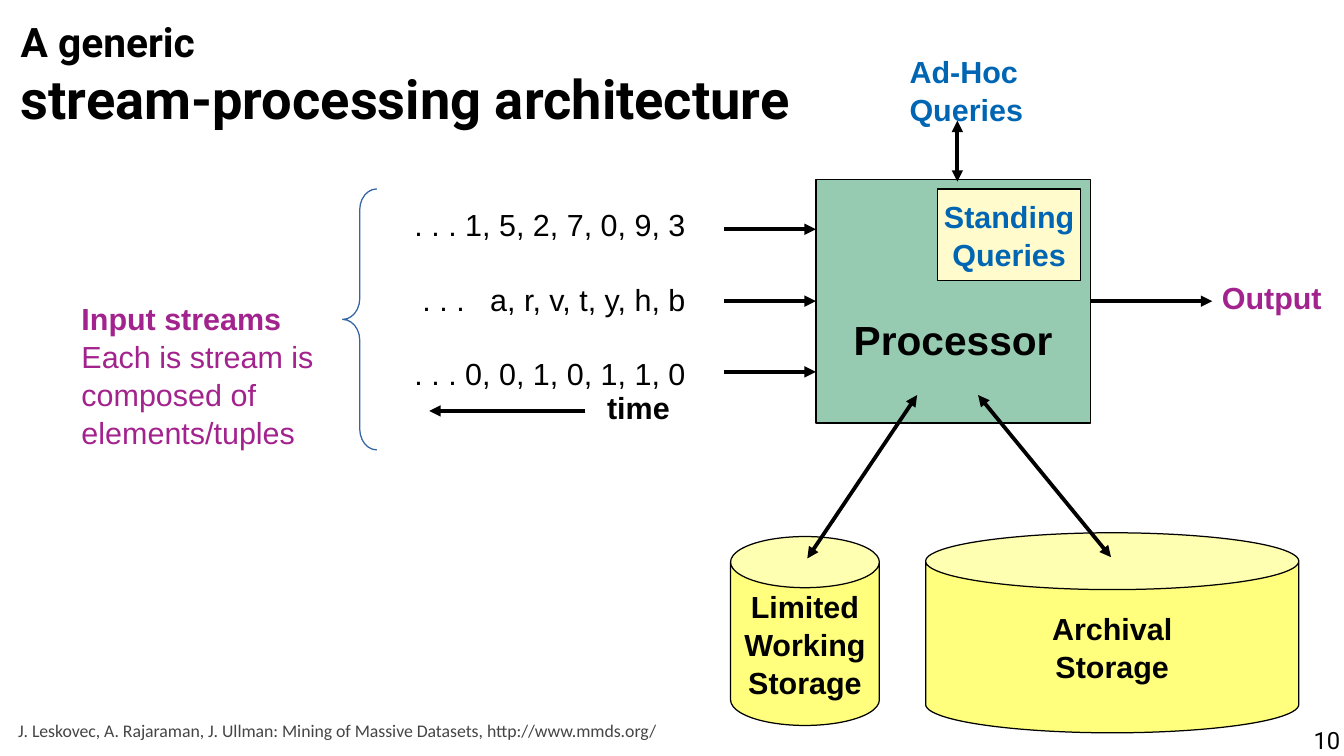
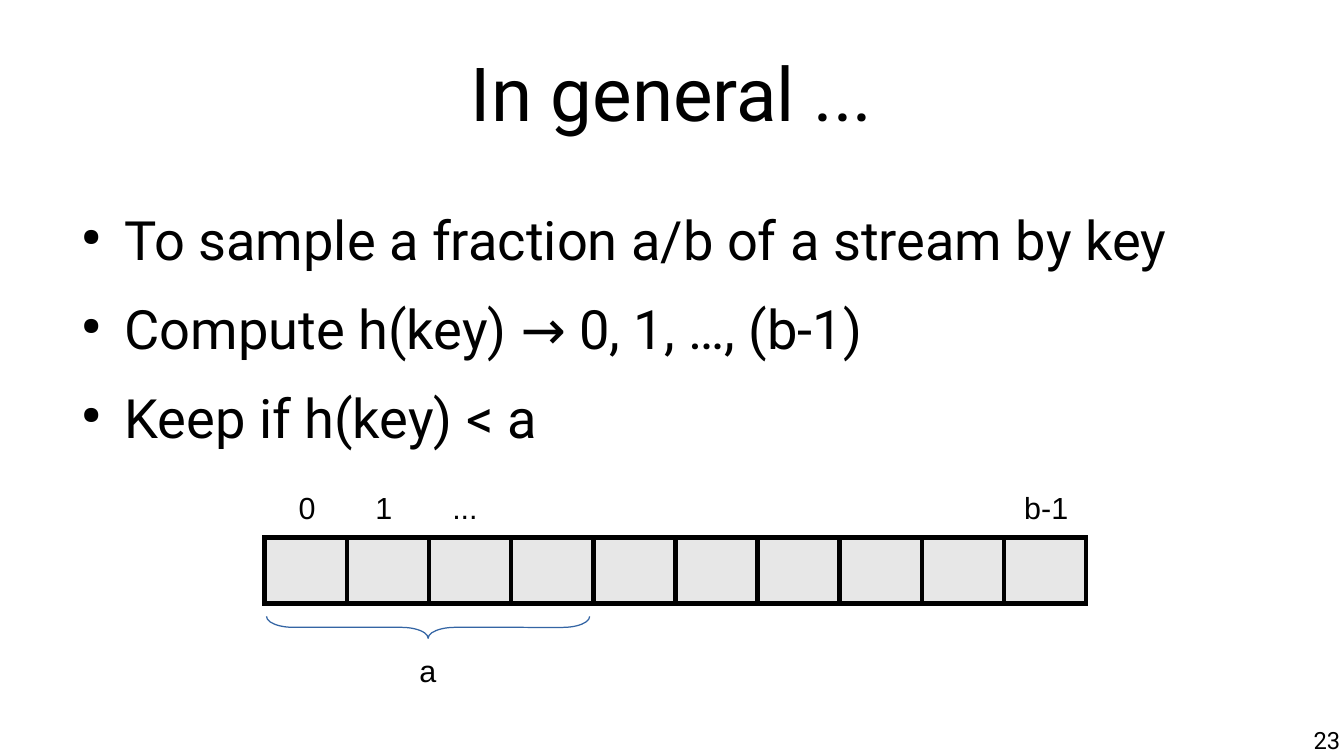
from lxml import etree
from pptx import Presentation
from pptx.dml.color import RGBColor
from pptx.enum.shapes import MSO_CONNECTOR, MSO_SHAPE
from pptx.enum.text import MSO_ANCHOR, PP_ALIGN
from pptx.oxml import parse_xml
from pptx.oxml.ns import nsdecls, qn
from pptx.util import Inches, Pt

LEFT, CENTER, RIGHT = PP_ALIGN.LEFT, PP_ALIGN.CENTER, PP_ALIGN.RIGHT
TOP, MIDDLE = MSO_ANCHOR.TOP, MSO_ANCHOR.MIDDLE
STRAIGHT = MSO_CONNECTOR.STRAIGHT
RECT, CAN = MSO_SHAPE.RECTANGLE, MSO_SHAPE.CAN
HEX = {
    "black": "000000", "blue": "0066B3", "purple": "A3238E",
    "green": "339966", "yellow": "FFFF00", "cream": "FFFBCC",
    "grey": "454545", "cell": "E7E7E7", "brace": "3465A4",
}
RGB = {name: RGBColor.from_string(code) for name, code in HEX.items()}
INSET = (0.1, 0.05, 0.1, 0.05)
FLUSH = (0, 0, 0, 0)


def write(shape, lines, size=18, color="black", bold=False, font="Arial",
          align=LEFT, anchor=TOP, inset=INSET, wrap=False, lead=None):
    frame = shape.text_frame
    frame.text = "\n".join(lines)
    frame.word_wrap = wrap
    frame.vertical_anchor = anchor
    (frame.margin_left, frame.margin_top,
     frame.margin_right, frame.margin_bottom) = map(Inches, inset)
    for para in frame.paragraphs:
        para.alignment = align
        para.line_spacing = lead
        for run in para.runs:
            run.font.size = Pt(size)
            run.font.name = font
            run.font.bold = bold
            run.font.color.rgb = RGB[color]
    return frame.paragraphs


def arrow(slide, start, end, both=False):
    line = slide.shapes.add_connector(STRAIGHT, *map(Inches, start + end))
    line.line.color.rgb = RGB["black"]
    line.line.width = Pt(2.25)
    props = line._element.spPr
    for tag in ("a:headEnd", "a:tailEnd") if both else ("a:tailEnd",):
        etree.SubElement(props.find(qn("a:ln")), qn(tag), type="triangle")
    etree.SubElement(props, qn("a:effectLst"))
    return line


deck = Presentation()
deck.slide_width, deck.slide_height = Inches(11.02), Inches(6.2)

# Shared parts: title, slide number, brace
pages = [
    (["A generic\vstream-processing architecture"], (0.17, -0.23, 6.75, 1.67),
     24, True, LEFT, "10",
     MSO_SHAPE.LEFT_BRACE, (2.81, 1.55, 0.28, 2.14), 0.61, 0),
    (["In general ..."], (0.55, 0.01, 9.92, 1.49),
     44, False, CENTER, "23",
     MSO_SHAPE.RIGHT_BRACE, (3.42, 3.82, 0.18, 2.65), 1.22, 90),
]
for title, spot, size, bold, align, number, kind, place, bend, turn in pages:
    slide = deck.slides.add_slide(deck.slide_layouts[6])
    box = slide.shapes.add_textbox(*map(Inches, spot))
    write(box, title, size, bold=bold, font="Roboto", align=align,
          anchor=MIDDLE, inset=FLUSH, wrap=True)
    box = slide.shapes.add_textbox(*map(Inches, (8.42, 5.95, 2.57, 0.25)))
    write(box, [number], 14, font="Roboto", align=RIGHT, inset=FLUSH, wrap=True)
    brace = slide.shapes.add_shape(kind, *map(Inches, place))
    brace.adjustments[0] = bend
    brace.rotation = turn
    brace.shadow.inherit = False
    brace.fill.background()
    brace.line.color.rgb = RGB["brace"]
    brace.line.width = Pt(0)
flow, general = deck.slides
flow.shapes[0].text_frame.paragraphs[0].runs[1].font.size = Pt(32)

# Slide 1: processor, query box and stores
blocks = [
    (RECT, (6.69, 1.47, 2.25, 2), "green", 51, None,
     ["Processor"], 24, "black", (0.1, 0.65, 0.1, 0.05)),
    (CAN, (5.99, 4.4, 1.22, 1.55), "yellow", 51, 0.344,
     ["Limited", "Working", "Storage"], 18, "black", INSET),
    (CAN, (7.59, 4.37, 3.06, 1.64), "yellow", 51, 0.284,
     ["Archival", "Storage"], 18, "black", INSET),
    (RECT, (7.69, 1.55, 1.17, 0.75), "cream", 100, None,
     ["Standing", "Queries"], 18, "blue", INSET),
]
drawn = []
for kind, spot, fill, alpha, lid, lines, size, color, inset in blocks:
    block = flow.shapes.add_shape(kind, *map(Inches, spot))
    block.shadow.inherit = False
    block.fill.solid()
    block.fill.fore_color.rgb = RGB[fill]
    if alpha < 100:
        tint = block._element.spPr.find(qn("a:solidFill"))[0]
        etree.SubElement(tint, qn("a:alpha"), val=str(alpha * 1000))
    block.line.color.rgb = RGB["black"]
    block.line.width = Pt(0.75)
    if lid:
        block.adjustments[0] = lid
    write(block, lines, size, color, True, align=CENTER, anchor=MIDDLE,
          inset=inset, lead=1.04)
    drawn.append(block)
core = drawn[0]

# Arrows into, out of and around the processor
feeds = [arrow(flow, (5.94, y), (6.69, y)) for y in (1.88, 2.47, 3.05)]
feeds[1].end_connect(core, 1)
arrow(flow, (8.94, 2.47), (9.94, 2.47)).begin_connect(core, 3)
arrow(flow, (4.8, 3.37), (3.52, 3.37))
for start, end in [((7.52, 3.24), (6.62, 4.58)), ((8.02, 3.24), (9.11, 4.57)),
                   ((7.85, 0.99), (7.85, 1.49))]:
    arrow(flow, start, end, both=True)

# Labels
labels = [
    ((7.36, 0.37, 1.13, 0.7), ["Ad-Hoc", "Queries"], "blue"),
    ((9.92, 2.23, 1.02, 0.4), ["Output"], "purple"),
    ((4.88, 3.13, 0.8, 0.4), ["time"], "black"),
]
for spot, lines, color in labels:
    box = flow.shapes.add_textbox(*map(Inches, spot))
    write(box, lines, 18, color, True, lead=1.04)

box = flow.shapes.add_textbox(*map(Inches, (0.57, 2.4, 2.27, 1.22)))
paras = write(box, ["Input streams",
                    "Each is stream is\vcomposed of\velements/tuples"],
              color="purple", wrap=True, lead=1.04)
paras[0].runs[0].font.bold = True

# Streams
box = flow.shapes.add_textbox(*map(Inches, (3.3, 1.63, 2.42, 1.6)))
paras = write(box, [". . . 1, 5, 2, 7, 0, 9, 3", ". . .\va, r, v, t, y, h, b",
                    ". . . 0, 0, 1, 0, 1, 1, 0"],
              align=RIGHT, wrap=True, lead=1.04)
for para in paras[1:]:
    para.space_before = Pt(21.6)
# The break in the second stream becomes one widely spaced blank
mark = paras[1]._p.find(qn("a:br"))
gap = parse_xml(f'<a:r {nsdecls("a")}><a:rPr sz="1800" spc="1000">'
                '<a:latin typeface="Arial"/></a:rPr><a:t> </a:t></a:r>')
paras[1]._p.replace(mark, gap)

# Source line
box = flow.shapes.add_textbox(*map(Inches, (0.05, 5.85, 7.38, 0.28)))
write(box, ["J. Leskovec, A. Rajaraman, J. Ullman: Mining of Massive Datasets, "
            "http://www.mmds.org/"], 10.5, "grey", font="Calibri", wrap=True)

# Slide 2: bullets
box = general.shapes.add_textbox(*map(Inches, (0.55, 1.69, 9.92, 2.2)))
paras = write(box, ["To sample a fraction a/b of a stream by key",
                    "Compute h(key) → 0, 1, …, (b-1)", "Keep if h(key) < a"],
              32, font="Roboto", inset=FLUSH, wrap=True)
for i, para in enumerate(paras):
    props = para._p.get_or_add_pPr()
    props.set("marL", str(Inches(0.47)))
    props.set("indent", str(Inches(-0.35)))
    tint = etree.SubElement(props, qn("a:buClr"))
    etree.SubElement(tint, qn("a:srgbClr"), val=HEX["black"])
    etree.SubElement(props, qn("a:buSzPct"), val="45000")
    etree.SubElement(props, qn("a:buChar"), char="●")
    if i:
        para.space_before = Pt(14.2)

# Row of hash buckets
count = 10
grid = general.shapes.add_table(
    1, count, *map(Inches, (2.17, 4.41, 6.74, 0.54))).table
grid.first_row = grid.horz_banding = False
for col in grid.columns:
    col.width = Inches(6.74 / count)
for cell in grid.iter_cells():
    props = cell._tc.get_or_add_tcPr()
    for side in ("L", "R", "T", "B"):
        edge = etree.SubElement(props, qn("a:ln" + side), w=str(Pt(3)))
        paint = etree.SubElement(edge, qn("a:solidFill"))
        etree.SubElement(paint, qn("a:srgbClr"), val=HEX["black"])
    cell.fill.solid()
    cell.fill.fore_color.rgb = RGB["cell"]

# Bucket labels
for text, x, y, wide in [("0", 2.35, 3.96, 0.34), ("1", 2.98, 3.96, 0.34),
                         ("...", 3.61, 3.96, 0.41), ("b-1", 8.3, 3.96, 0.56),
                         ("a", 3.34, 5.3, 0.34)]:
    box = general.shapes.add_textbox(*map(Inches, (x, y, wide, 0.38)))
    write(box, [text])

deck.save("out.pptx")
